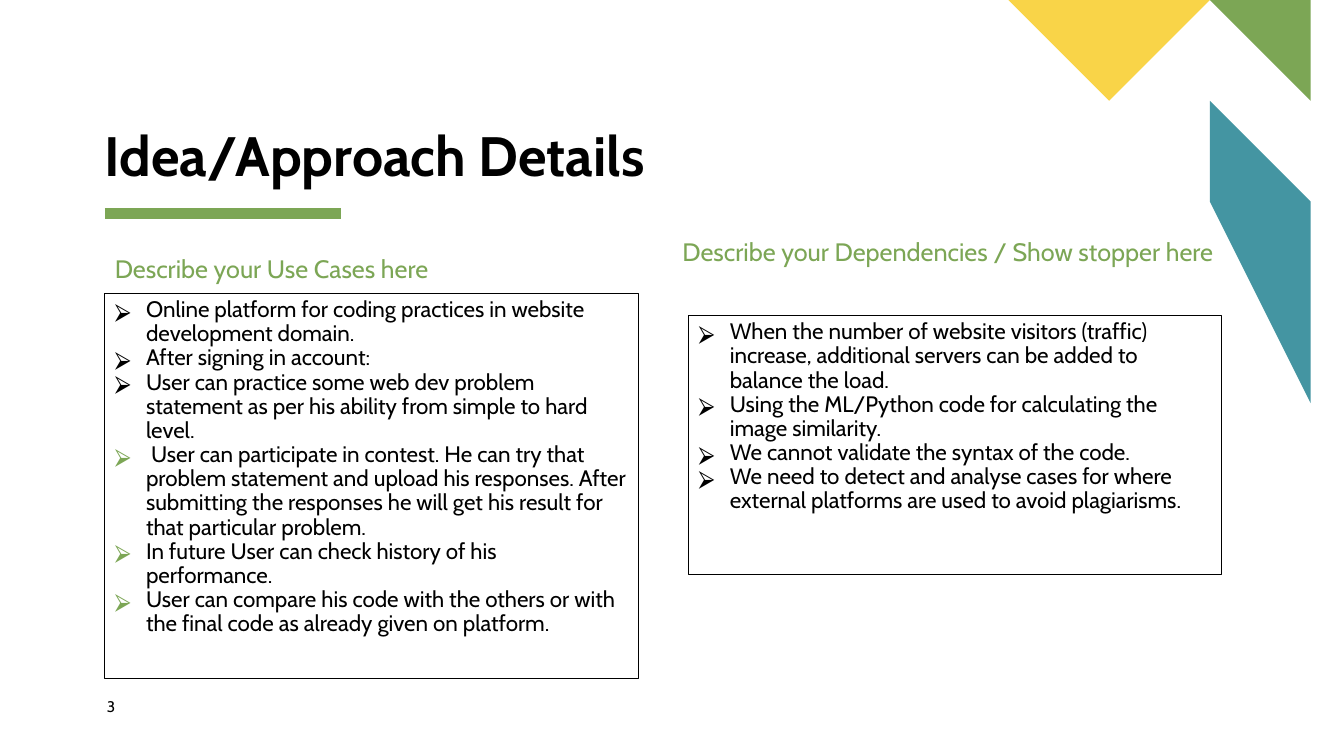
from lxml import etree
from pptx import Presentation
from pptx.dml.color import RGBColor
from pptx.enum.shapes import MSO_CONNECTOR, MSO_SHAPE
from pptx.enum.text import MSO_ANCHOR, PP_ALIGN
from pptx.oxml.ns import qn
from pptx.util import Inches, Pt

RECTANGLE = MSO_SHAPE.RECTANGLE
STRAIGHT = MSO_CONNECTOR.STRAIGHT
TOP, BOTTOM = MSO_ANCHOR.TOP, MSO_ANCHOR.BOTTOM
LEFT = PP_ALIGN.LEFT

FONT = "Cabin"
BLACK, GREEN, TEAL, YELLOW = "000000", "7CA655", "4495A2", "F9D448"
MARGIN = 1.04
PANEL_WIDTH = 5.29
BULLET_INDENT = 0.31

USE_CASES = [
    ("Online platform for coding practices in website development domain.", BLACK),
    ("After signing in account:", BLACK),
    ("User can practice some web dev problem statement as per his ability "
     "from simple to hard level.", BLACK),
    (" User can participate in contest. He can try that problem statement and "
     "upload his responses. After submitting the responses he will get his "
     "result for that particular problem.", GREEN),
    ("In future User can check history of his performance.", GREEN),
    ("User can compare his code with the others or with the final code as "
     "already given on platform.", GREEN),
]
DEPENDENCIES = [
    ("When the number of website visitors (traffic) increase, additional "
     "servers can be added to balance the load.", BLACK),
    ("Using the ML/Python code for calculating the image similarity.", BLACK),
    ("We cannot validate the syntax of the code.", BLACK),
    ("We need to detect and analyse cases for where external platforms are "
     "used to avoid plagiarisms.", BLACK),
]


def rgb(color):
    """Turn a hex string into a colour."""
    return RGBColor.from_string(color)


def write(paragraph, text, size, color=BLACK, bold=False, spacing=0.9):
    """Write one formatted run into a paragraph."""
    paragraph.alignment = LEFT
    paragraph.line_spacing = spacing
    run = paragraph.add_run()
    run.text = text
    run.font.name = FONT
    run.font.size = Pt(size)
    run.font.bold = bold
    run.font.color.rgb = rgb(color)


def set_frame(frame, inset_x=0, inset_y=0, anchor=TOP):
    """Make a text frame wrap, with the given insets and anchor."""
    frame.word_wrap = True
    frame.margin_left = frame.margin_right = Inches(inset_x)
    frame.margin_top = frame.margin_bottom = Inches(inset_y)
    frame.vertical_anchor = anchor


def add_label(slide, box, text, size, inset_x=0, inset_y=0, anchor=TOP, **style):
    """Place a single line of text in a box."""
    label = slide.shapes.add_textbox(*map(Inches, box))
    set_frame(label.text_frame, inset_x, inset_y, anchor)
    write(label.text_frame.paragraphs[0], text, size, **style)


def add_bullet(paragraph, color):
    """Give a paragraph a hanging arrowhead bullet."""
    props = paragraph._p.get_or_add_pPr()
    props.set("marL", str(Inches(BULLET_INDENT)))
    props.set("indent", str(-Inches(BULLET_INDENT)))
    bullet_color = etree.SubElement(props, qn("a:buClr"))
    etree.SubElement(bullet_color, qn("a:srgbClr")).set("val", color)
    etree.SubElement(props, qn("a:buFont")).set("typeface", "Noto Sans Symbols")
    etree.SubElement(props, qn("a:buChar")).set("char", "⮚")


def add_panel(slide, box, points):
    """Draw an outlined box holding a bulleted list."""
    panel = slide.shapes.add_shape(RECTANGLE, *map(Inches, box))
    panel.shadow.inherit = False
    panel.fill.background()
    panel.line.color.rgb = rgb(BLACK)
    panel.line.width = Pt(0.75)
    frame = panel.text_frame
    set_frame(frame, 0.1, 0.05)
    for index, (text, bullet_color) in enumerate(points):
        paragraph = frame.add_paragraph() if index else frame.paragraphs[0]
        write(paragraph, text, 16)
        add_bullet(paragraph, bullet_color)


def add_polygon(slide, points, color):
    """Draw a filled polygon through points given in inches."""
    builder = slide.shapes.build_freeform(*points[0], scale=Inches(1))
    builder.add_line_segments(points[1:], close=True)
    polygon = builder.convert_to_shape()
    polygon.shadow.inherit = False
    polygon.fill.solid()
    polygon.fill.fore_color.rgb = rgb(color)
    polygon.line.fill.background()


def add_corner(slide, right, top):
    """Draw the coloured pieces that hang from the top right corner."""
    pieces = [
        (TEAL, [(0, 3.63), (0, 2.41), (-1.21, 1.19), (-1.83, 1.8)]),
        (GREEN, [(0, 1.19), (0, 0), (-1.18, 0)]),
        (YELLOW, [(-3.63, 0), (-2.44, 1.19), (-1.24, 0)]),
    ]
    for color, offsets in pieces:
        add_polygon(slide, [(right + x, top + y) for x, y in offsets], color)


def add_header(slide, left, top):
    """Place the title and the thick rule under it."""
    add_label(slide, (left, top, 6.32, 0.67), "Idea/Approach Details", 39.6,
              anchor=BOTTOM, bold=True)
    rule_y = top + 0.92
    rule = slide.shapes.add_connector(
        STRAIGHT, *map(Inches, (left, rule_y, left + 2.34, rule_y)))
    rule.line.color.rgb = rgb(GREEN)
    rule.line.width = Pt(8)
    etree.SubElement(rule._element.spPr, qn("a:effectLst"))


def add_section(slide, heading, heading_box, points, panel_box):
    """Place a green heading and its bulleted panel."""
    add_label(slide, heading_box, heading, 18, inset_x=0.1, inset_y=0.05, color=GREEN)
    add_panel(slide, panel_box, points)


def main():
    """Build and save the slide."""
    deck = Presentation()
    deck.slide_width, deck.slide_height = Inches(13.33), Inches(7.5)
    slide = deck.slides.add_slide(deck.slide_layouts[6])
    add_corner(slide, 13.33, 0)
    add_header(slide, MARGIN, 1.2)
    add_section(slide, "Describe your Use Cases here",
                (MARGIN, 2.5, PANEL_WIDTH, 0.35),
                USE_CASES, (MARGIN, 2.91, PANEL_WIDTH, 3.82))
    add_section(slide, "Describe your Dependencies / Show stopper here",
                (6.67, 2.33, 5.62, 0.35),
                DEPENDENCIES, (6.83, 3.13, PANEL_WIDTH, 2.57))
    add_label(slide, (1.06, 6.92, 0.57, 0.27), "3", 11, spacing=1.0)
    deck.save("out.pptx")


if __name__ == "__main__":
    main()
